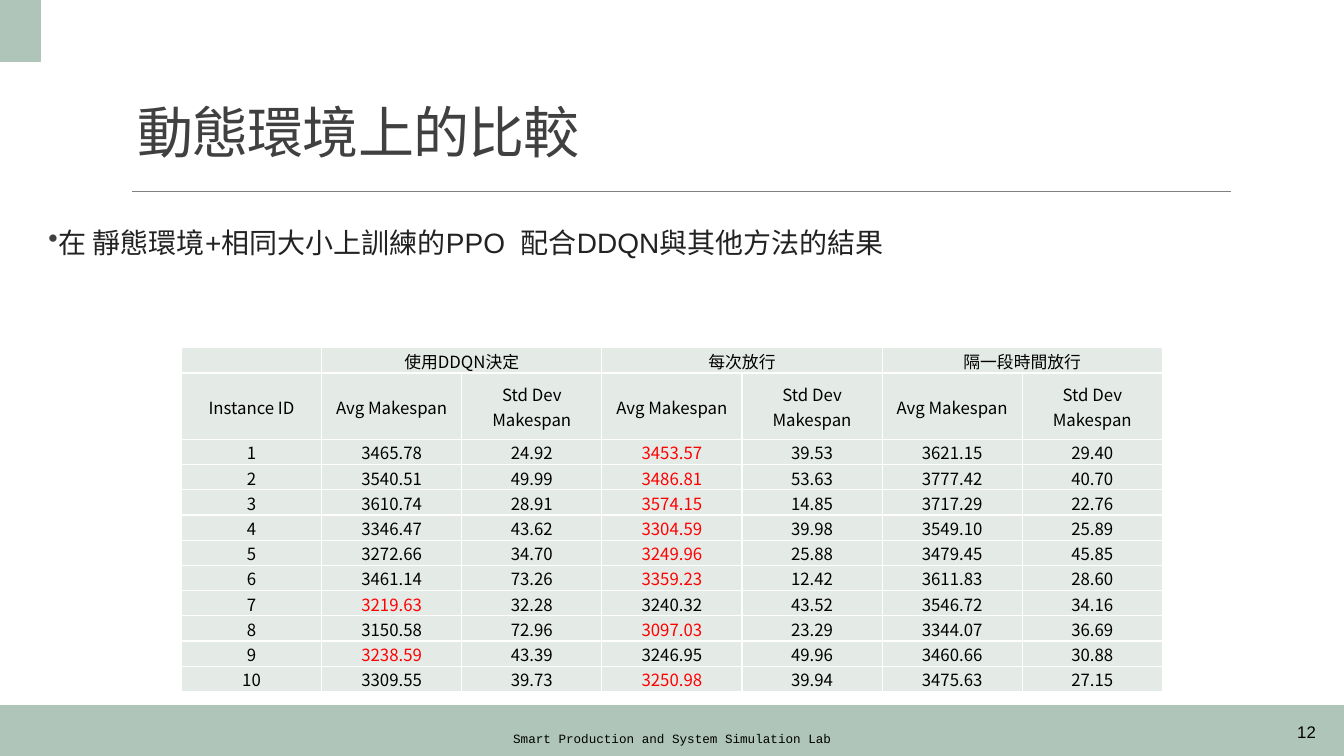
from dataclasses import dataclass

from lxml import etree
from pptx import Presentation
from pptx import util as u
from pptx.dml.color import RGBColor
from pptx.enum import shapes, text
from pptx.oxml.ns import qn

EMU_PER_PX = 9144


@dataclass(frozen=True)
class Theme:
    sage: str = "AFC5B9"
    cell: str = "E4EBE7"
    border: str = "FFFFFF"
    rule: str = "808080"
    heading: str = "404040"
    body: str = "222222"
    ink: str = "000000"
    best: str = "FF0000"
    sans: str = "Arial"
    mono: str = "Courier New"
    cjk: str = "Noto Sans CJK SC"
    heading_size: int = 40
    body_size: int = 20
    table_size: int = 12
    number_size: int = 12
    footer_size: int = 9


THEME = Theme()

GROUPS = ["使用DDQN決定", "每次放行", "隔一段時間放行"]
MEASURES = ["Avg Makespan", "Std Dev Makespan"]
RESULTS = [
    ("3465.78", "24.92", "3453.57", "39.53", "3621.15", "29.40"),
    ("3540.51", "49.99", "3486.81", "53.63", "3777.42", "40.70"),
    ("3610.74", "28.91", "3574.15", "14.85", "3717.29", "22.76"),
    ("3346.47", "43.62", "3304.59", "39.98", "3549.10", "25.89"),
    ("3272.66", "34.70", "3249.96", "25.88", "3479.45", "45.85"),
    ("3461.14", "73.26", "3359.23", "12.42", "3611.83", "28.60"),
    ("3219.63", "32.28", "3240.32", "43.52", "3546.72", "34.16"),
    ("3150.58", "72.96", "3097.03", "23.29", "3344.07", "36.69"),
    ("3238.59", "43.39", "3246.95", "49.96", "3460.66", "30.88"),
    ("3309.55", "39.73", "3250.98", "39.94", "3475.63", "27.15"),
]


def px(length):
    return u.Emu(length * EMU_PER_PX)


def rgb(colour):
    return RGBColor.from_string(colour)


def style(paragraph, face, size, colour, align=text.PP_ALIGN.LEFT):
    paragraph.alignment = align
    font = paragraph.font
    font.name, font.size = face, u.Pt(size)
    font.color.rgb = rgb(colour)
    etree.SubElement(font._rPr, qn("a:ea"), typeface=THEME.cjk)


def add_block(slide, box):
    block = slide.shapes.add_shape(shapes.MSO_SHAPE.RECTANGLE, *map(px, box))
    block.shadow.inherit = False
    block.fill.solid()
    block.fill.fore_color.rgb = block.line.color.rgb = rgb(THEME.sage)
    block.line.width = u.Pt(1.25)


def add_label(slide, box, words, face, size, align):
    frame = slide.shapes.add_textbox(*map(px, box)).text_frame
    frame.word_wrap = True
    frame.vertical_anchor = text.MSO_ANCHOR.MIDDLE
    frame.text = words
    style(frame.paragraphs[0], face, size, THEME.ink, align)


def add_footer(slide, box):
    left, top, width, height = box
    add_block(slide, box)
    add_label(slide, (left + 403, top + 19, 527, 28),
              "Smart Production and System Simulation Lab",
              THEME.mono, THEME.footer_size, text.PP_ALIGN.CENTER)
    add_label(slide, (left + width - 161, top + 6, 143, 40), "12",
              THEME.sans, THEME.number_size, text.PP_ALIGN.RIGHT)


def add_heading(slide, box, words):
    left, top, width, height = box
    title = slide.shapes.title
    title.left, title.top, title.width, title.height = map(px, box)
    frame = title.text_frame
    frame.text = words
    frame.word_wrap = True
    frame.auto_size = text.MSO_AUTO_SIZE.NONE
    frame.vertical_anchor = text.MSO_ANCHOR.BOTTOM
    heading = frame.paragraphs[0]
    heading.line_spacing = 0.85
    style(heading, THEME.cjk, THEME.heading_size, THEME.heading)
    heading.font._rPr.set("spc", "-50")

    rule_y = px(top + height + 21)
    rule = slide.shapes.add_connector(
        shapes.MSO_CONNECTOR.STRAIGHT, px(left + 5), rule_y, px(left + 1095), rule_y)
    rule.line.color.rgb = rgb(THEME.rule)
    rule.line.width = u.Pt(0.5)
    etree.SubElement(rule._element.spPr, qn("a:effectLst"))


def add_bullet(slide, box, words):
    frame = slide.shapes.add_textbox(*map(px, box)).text_frame
    frame.word_wrap = True
    frame.margin_left = frame.margin_right = 0
    frame.text = words
    point = frame.paragraphs[0]
    point.line_spacing = 1.5
    point.space_after = u.Pt(2)
    properties = point._p.get_or_add_pPr()
    properties.set("marL", str(px(10)))
    properties.set("indent", str(px(-10)))
    bullet_colour = etree.SubElement(properties, qn("a:buClr"))
    etree.SubElement(bullet_colour, qn("a:srgbClr"), val=THEME.heading)
    etree.SubElement(properties, qn("a:buChar"), char="•")
    style(point, THEME.sans, THEME.body_size, THEME.body)


def fill_cell(cell, words, colour):
    cell.text = words
    cell.margin_left = cell.margin_top = cell.margin_right = px(1)
    cell.margin_bottom = 0
    cell.vertical_anchor = text.MSO_ANCHOR.MIDDLE
    paragraph = cell.text_frame.paragraphs[0]
    style(paragraph, THEME.cjk, THEME.table_size, colour, text.PP_ALIGN.CENTER)
    if not words:
        paragraph._p.get_or_add_endParaRPr().set("sz", str(THEME.table_size * 100))
    properties = cell._tc.get_or_add_tcPr()
    for side in ("lnL", "lnR", "lnT", "lnB"):
        border = etree.SubElement(properties, qn(f"a:{side}"), w=str(u.Pt(1)))
        paint = etree.SubElement(border, qn("a:solidFill"))
        etree.SubElement(paint, qn("a:srgbClr"), val=THEME.border)
    cell.fill.solid()
    cell.fill.fore_color.rgb = rgb(THEME.cell)


def add_results(slide, box):
    left, top, width, height = box
    span = len(MEASURES)
    group_row = [""] + [words for group in GROUPS for words in (group, "")]
    measure_row = ["Instance ID"] + MEASURES * len(GROUPS)
    rows = [group_row, measure_row]
    rows += [(str(instance), *values) for instance, values in enumerate(RESULTS, 1)]
    columns = len(measure_row)
    table = slide.shapes.add_table(len(rows), columns, *map(px, box)).table
    table.first_row = table.horz_banding = False
    for column in table.columns:
        column.width = px(width // columns)
    row_height = 25
    for row in table.rows:
        row.height = px(row_height)
    table.rows[1].height = px(height - row_height * (len(rows) - 1))
    for r, row in enumerate(rows):
        best = min(row[1::span], key=float) if r > 1 else None
        for c, words in enumerate(row):
            fill_cell(table.cell(r, c), words, THEME.best if words == best else THEME.ink)
    for c in range(1, columns, span):
        table.cell(0, c).merge(table.cell(0, c + span - 1))


def add_comparison_slide(deck, box):
    left, top, width, height = box
    slide = deck.slides.add_slide(deck.slide_layouts[5])
    add_block(slide, (left, top, 40, 61))
    add_footer(slide, (left, top + height - 50, width, 50))
    add_heading(slide, (left + 126, top + 109, 1046, 60), "動態環境上的比較")
    add_bullet(slide, (left + 48, top + 202, 1267, 420),
               "在 靜態環境+相同大小上訓練的PPO  配合DDQN與其他方法的結果")
    add_results(slide, (left + 180, top + 345, 973, 341))


def main():
    deck = Presentation()
    deck.slide_width, deck.slide_height = px(1333), px(750)
    add_comparison_slide(deck, (0, 0, 1333, 750))
    deck.save("out.pptx")


if __name__ == "__main__":
    main()
